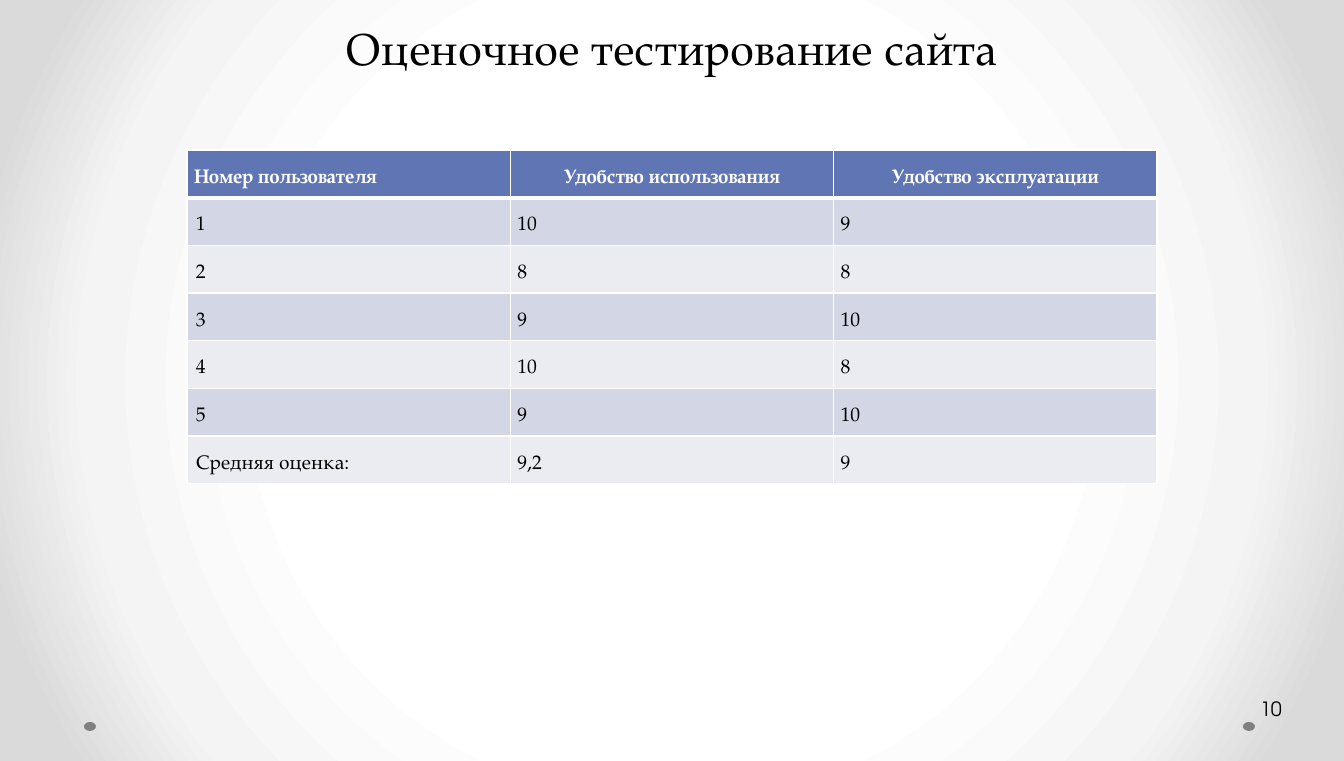
from lxml.etree import SubElement
from pptx import Presentation
from pptx.dml.color import RGBColor
from pptx.enum.shapes import MSO_SHAPE
from pptx.enum.text import MSO_ANCHOR, PP_ALIGN
from pptx.oxml import parse_xml
from pptx.oxml.ns import nsdecls, qn
from pptx.util import Emu, Pt

PX = 914400 / 101
SERIF, SANS = "TeX Gyre Pagella", "TeX Gyre Adventor"
HEX = {
    "white": "FFFFFF", "pale": "F4F4F4", "edge": "DADADA", "black": "000000",
    "dot": "808080", "head": "6076B4", "odd": "D2D6E5", "even": "EAECF2",
}
GLOW = [(0, "white"), (50, "white"), (76, "pale"), (92, "edge"), (100, "edge")]
ROWS = [
    ("Номер пользователя", "Удобство использования", "Удобство эксплуатации"),
    ("1", "10", "9"),
    ("2", "8", "8"),
    ("3", "9", "10"),
    ("4", "10", "8"),
    ("5", "9", "10"),
    ("Средняя оценка:", "9,2", "9"),
]


def px(*sizes):
    return [Emu(round(size * PX)) for size in sizes]


def color(name):
    return RGBColor.from_string(HEX[name])


def paint(slide):
    slide.background.fill.solid()
    stops = "".join(
        f'<a:gs pos="{pos * 1000}"><a:srgbClr val="{HEX[name]}"/></a:gs>'
        for pos, name in GLOW)
    grad = parse_xml(
        f'<a:gradFill {nsdecls("a")} rotWithShape="1"><a:gsLst>{stops}</a:gsLst>'
        '<a:path path="circle"><a:fillToRect l="50000" t="50000" r="50000" b="50000"/>'
        '</a:path></a:gradFill>')
    solid = next(slide.element.iter(qn("a:solidFill")))
    solid.getparent().replace(solid, grad)


def add_dot(slide, left):
    dot = slide.shapes.add_shape(MSO_SHAPE.OVAL, *px(left, 722, 12, 9))
    dot.shadow.inherit = False
    dot.fill.solid()
    dot.fill.fore_color.rgb = color("dot")
    dot.line.fill.background()


def set_text(para, text, face, size, tone, bold=False):
    para.text = text
    font = para.font
    font.name, font.size, font.bold = face, Pt(size), bold
    font.color.rgb = color(tone)


def add_text(slide, box, text, face, size, align, anchor, pads):
    frame = slide.shapes.add_textbox(*px(*box)).text_frame
    frame.word_wrap = True
    frame.vertical_anchor = anchor
    (frame.margin_left, frame.margin_top,
     frame.margin_right, frame.margin_bottom) = px(*pads)
    para = frame.paragraphs[0]
    set_text(para, text, face, size, "black")
    para.alignment = align


def add_rules(cell, row):
    props = cell._tc.get_or_add_tcPr()
    widths = {"L": 1, "R": 1, "T": 3 if row == 1 else 1, "B": 1 if row else 3}
    for side, width in widths.items():
        line = SubElement(props, qn(f"a:ln{side}"), w=str(Pt(width)))
        fill = SubElement(line, qn("a:solidFill"))
        SubElement(fill, qn("a:srgbClr"), val=HEX["white"])


def fill_cell(cell, text, row, col):
    add_rules(cell, row)
    cell.fill.solid()
    cell.fill.fore_color.rgb = color("odd" if row % 2 else "even" if row else "head")
    cell.vertical_anchor = MSO_ANCHOR.MIDDLE
    (cell.margin_left, cell.margin_top,
     cell.margin_right, cell.margin_bottom) = px(7, 0, 7, 0)
    para = cell.text_frame.paragraphs[0]
    set_text(para, text, SERIF, 14, "black" if row else "white", row == 0)
    para.line_spacing = 1.5
    if col:
        para.alignment = PP_ALIGN.JUSTIFY if row else PP_ALIGN.CENTER
    else:
        para.alignment = PP_ALIGN.LEFT
        if row:
            para._p.get_or_add_pPr().set("indent", str(px(2)[0]))


def add_grid(slide, box):
    table = slide.shapes.add_table(len(ROWS), len(ROWS[0]), *px(*box)).table
    for row, texts in enumerate(ROWS):
        for col, text in enumerate(texts):
            fill_cell(table.cell(row, col), text, row, col)


def main():
    deck = Presentation()
    deck.slide_width, deck.slide_height = px(1344, 761)
    slide = deck.slides.add_slide(deck.slide_layouts[6])

    # Backdrop
    paint(slide)
    for left in (1243, 84):
        add_dot(slide, left)

    # Title and page number
    add_text(slide, (109, 15, 1125, 67), "Оценочное тестирование сайта",
             SERIF, 32, PP_ALIGN.CENTER, MSO_ANCHOR.TOP, (12, 6, 12, 6))
    add_text(slide, (1256, 689, 112, 40), "10",
             SANS, 14, PP_ALIGN.LEFT, MSO_ANCHOR.MIDDLE, (4, 6, 6, 6))

    # Scores
    add_grid(slide, (187, 150, 970, 334))

    deck.save("out.pptx")


if __name__ == "__main__":
    main()
